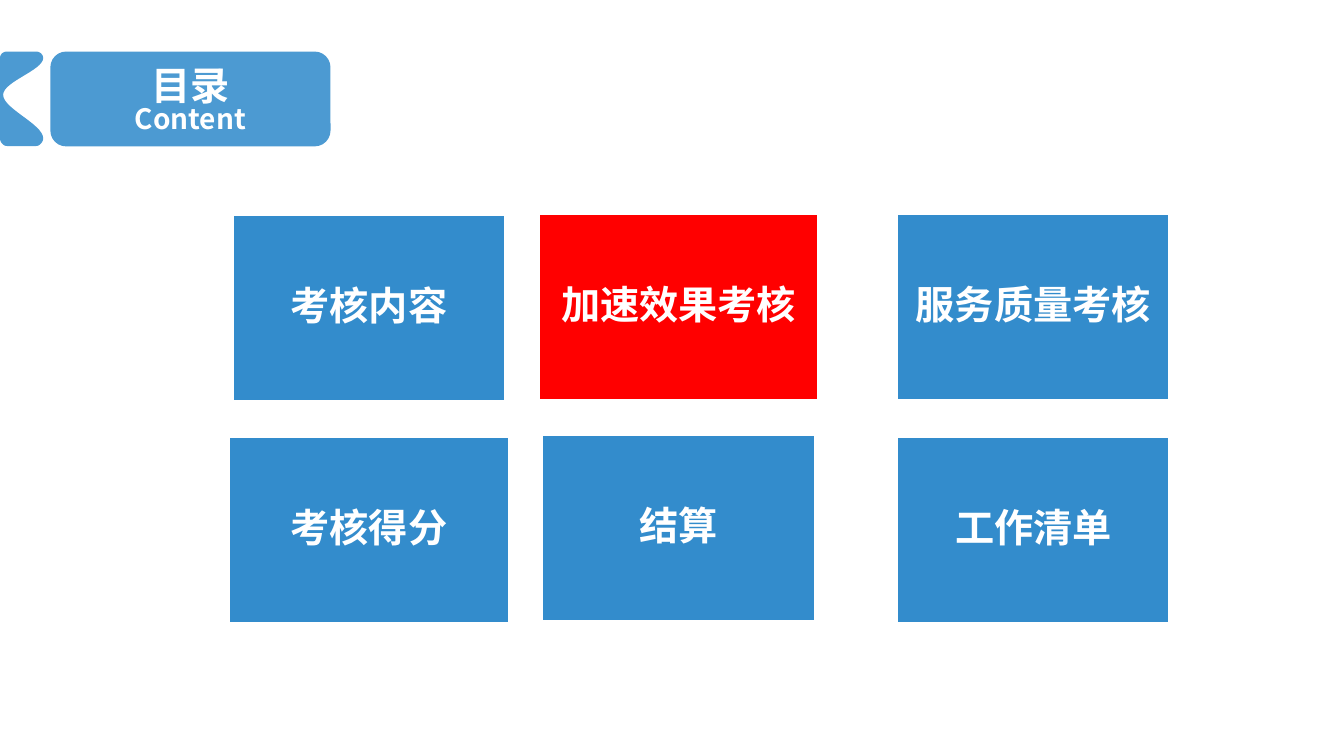
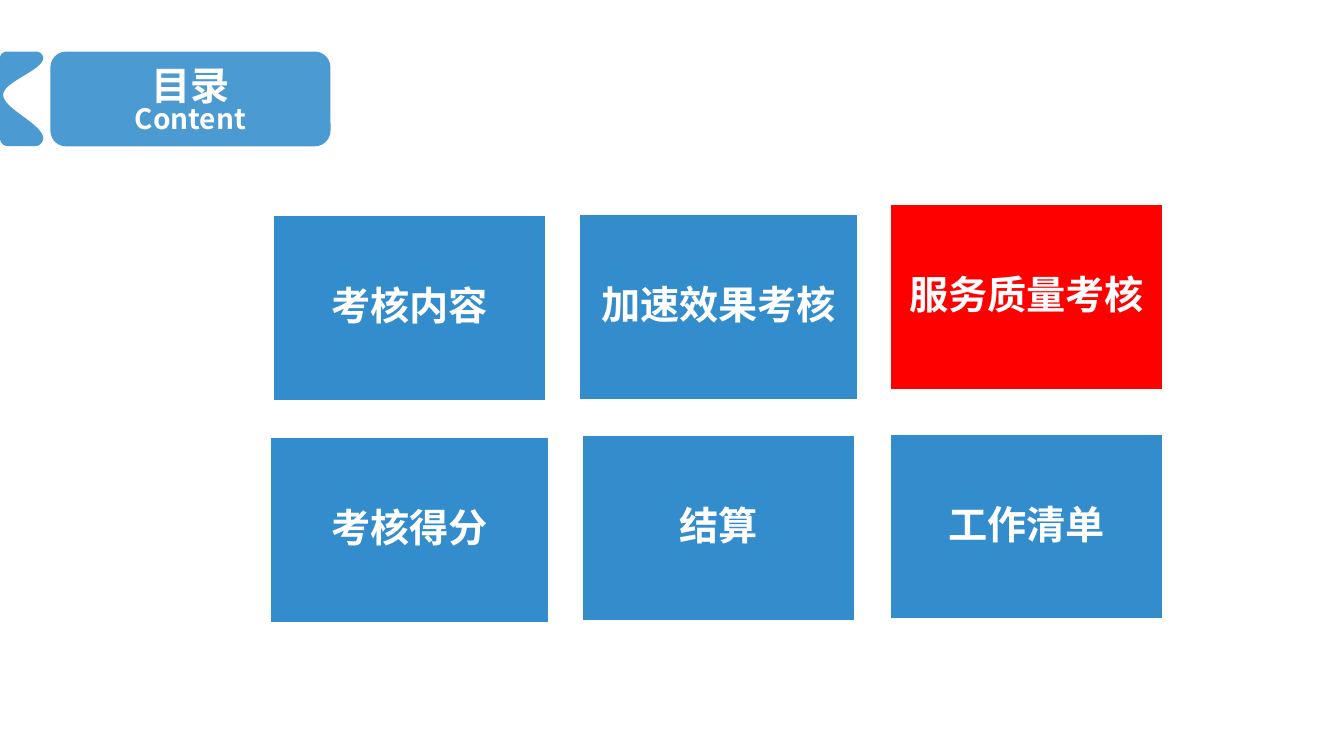
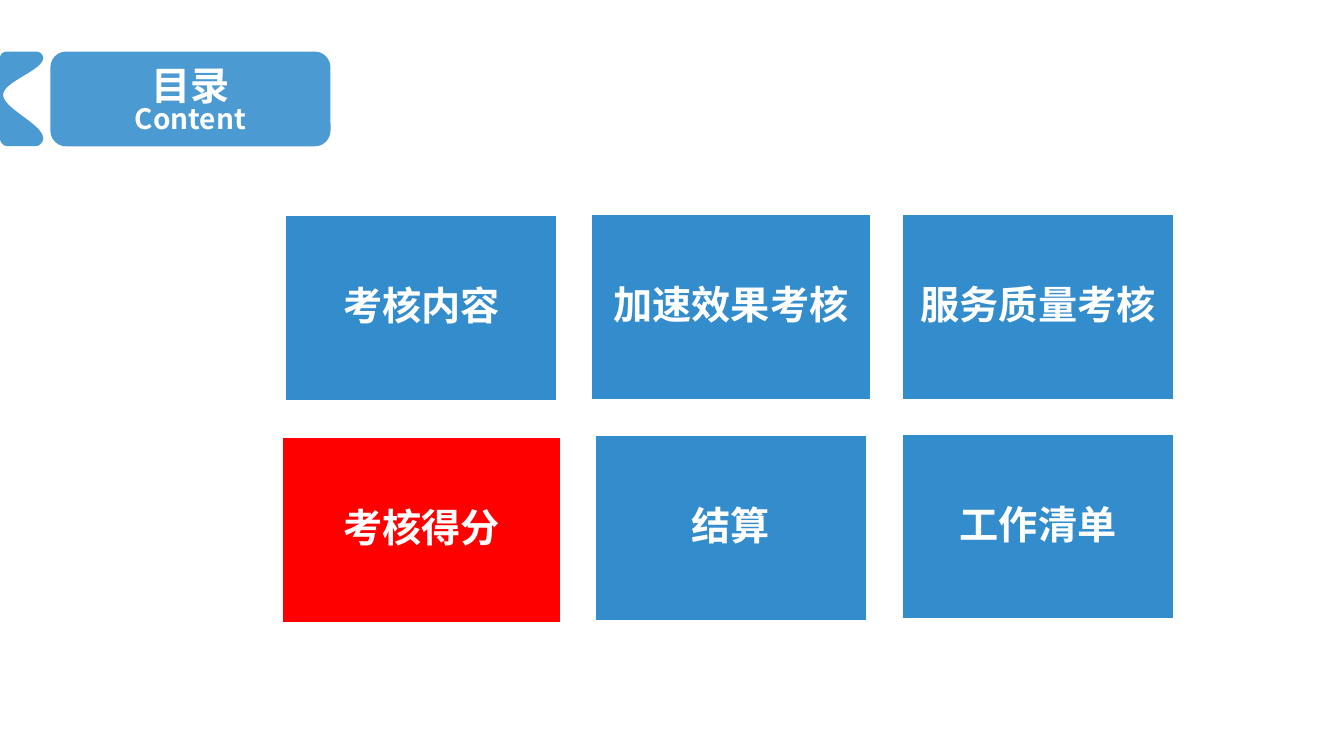
from lxml import etree
from pptx import Presentation
from pptx.dml.color import RGBColor
from pptx.enum.shapes import MSO_SHAPE
from pptx.enum.text import MSO_ANCHOR, PP_ALIGN
from pptx.oxml.ns import qn
from pptx.util import Cm, Pt

RECT = MSO_SHAPE.RECTANGLE
BADGE = MSO_SHAPE.FLOWCHART_ALTERNATE_PROCESS
CENTER = PP_ALIGN.CENTER
MIDDLE = MSO_ANCHOR.MIDDLE

FONT = "Noto Sans CJK SC"
COLORS = {"blue": "0070C0", "red": "FF0000", "white": "FFFFFF"}

CARD_HEIGHT = 4.7
NORMAL, WIDE = 6.88, 7.06
# label: (column, top, width), in cm
CARDS = {
    "考核内容": (0, 5.41, NORMAL),
    "加速效果考核": (1, 5.38, WIDE),
    "服务质量考核": (2, 5.38, NORMAL),
    "考核得分": (0, 11, WIDE),
    "结算": (1, 10.95, NORMAL),
    "工作清单": (2, 11, NORMAL),
}
# highlighted label, column centres, tops that differ from CARDS
AGENDAS = [
    ("加速效果考核", (9.3, 17.1, 26.04), {}),
    ("服务质量考核", (10.32, 18.11, 25.87),
     {"服务质量考核": 5.13, "工作清单": 10.92}),
    ("考核得分", (10.62, 18.42, 26.16), {"工作清单": 10.92}),
]

# Each segment of the notched tab: one point for a line, three for a curve
TAB_START = (0.18, 3.68)
TAB_SEGMENTS = [
    [(0.08, 3.68), (0, 3.58), (0, 3.48)],
    [(0, 1.47)],
    [(0, 1.37), (0.08, 1.3), (0.18, 1.3)],
    [(0.91, 1.3)],
    [(1, 1.3), (1.09, 1.37), (1.09, 1.47)],
    [(1.07, 1.78), (0.08, 2.06), (0.08, 2.39)],
    [(0.08, 2.74), (1.07, 3.12), (1.09, 3.48)],
    [(1.09, 3.58), (1, 3.68), (0.91, 3.68)],
]


def paint(sp, color, opacity=100):
    """Fill the shape and remove its shadow; opacity is in percent."""
    sp.shadow.inherit = False
    sp.fill.solid()
    sp.fill.fore_color.rgb = RGBColor.from_string(COLORS[color])
    if opacity < 100:
        clr = sp._element.spPr.find(qn("a:solidFill"))[0]
        etree.SubElement(clr, qn("a:alpha"), val=str(opacity * 1000))


def style_paragraph(p, size, spacing):
    p.alignment = CENTER
    p.line_spacing = spacing
    p.font.size = Pt(size)
    p.font.bold = True
    p.font.color.rgb = RGBColor.from_string(COLORS["white"])
    p.font.name = FONT
    props = p._p.pPr.find(qn("a:defRPr"))
    etree.SubElement(props, qn("a:ea"), typeface=FONT)


def curve_points(start, controls, steps=16):
    """Points along the cubic Bézier curve from start, without start."""
    nodes = [start, *controls]
    points = []
    for i in range(1, steps + 1):
        t = i / steps
        weights = ((1 - t) ** 3, 3 * t * (1 - t) ** 2,
                   3 * t ** 2 * (1 - t), t ** 3)
        points.append(tuple(sum(w * n[axis] for w, n in zip(weights, nodes))
                            for axis in (0, 1)))
    return points


def add_tab(slide):
    points = [TAB_START]
    for segment in TAB_SEGMENTS:
        points += (segment if len(segment) == 1
                   else curve_points(points[-1], segment))
    outline = [(Cm(x), Cm(y)) for x, y in points]
    builder = slide.shapes.build_freeform(*outline[0])
    builder.add_line_segments(outline[1:], close=True)
    sp = builder.convert_to_shape()
    paint(sp, "blue", 70)
    sp.line.fill.background()


def add_badge(slide):
    sp = slide.shapes.add_shape(BADGE, Cm(1.27), Cm(1.3), Cm(7.06), Cm(2.39))
    paint(sp, "blue", 70)
    sp.line.fill.background()
    tf = sp.text_frame
    tf.vertical_anchor = MIDDLE
    tf.margin_top, tf.margin_bottom = Cm(0.2), 0
    tf.text = "目录\nContent"
    for p, size in zip(tf.paragraphs, (28, 20)):
        style_paragraph(p, size, 0.8)


def add_card(slide, label, center, top, width, highlighted):
    sp = slide.shapes.add_shape(RECT, Cm(center - width / 2), Cm(top),
                                Cm(width), Cm(CARD_HEIGHT))
    if highlighted:
        paint(sp, "red")
    else:
        paint(sp, "blue", 80)
    sp.line.color.rgb = RGBColor.from_string(COLORS["white"])
    sp.line.width = Pt(2)
    tf = sp.text_frame
    tf.word_wrap = True
    tf.vertical_anchor = MIDDLE
    tf.margin_left = tf.margin_right = Cm(0.38)
    tf.margin_top = tf.margin_bottom = Cm(0.38)
    tf.text = label
    style_paragraph(tf.paragraphs[0], 28, 0.9)


def add_agenda(prs, current, centers, moved_tops):
    slide = prs.slides.add_slide(prs.slide_layouts[6])
    add_tab(slide)
    add_badge(slide)
    for label, (column, top, width) in CARDS.items():
        add_card(slide, label, centers[column], moved_tops.get(label, top),
                 width, label == current)


def main():
    prs = Presentation()
    prs.slide_width, prs.slide_height = Cm(33.87), Cm(19.05)
    for agenda in AGENDAS:
        add_agenda(prs, *agenda)
    prs.save("out.pptx")


if __name__ == "__main__":
    main()
